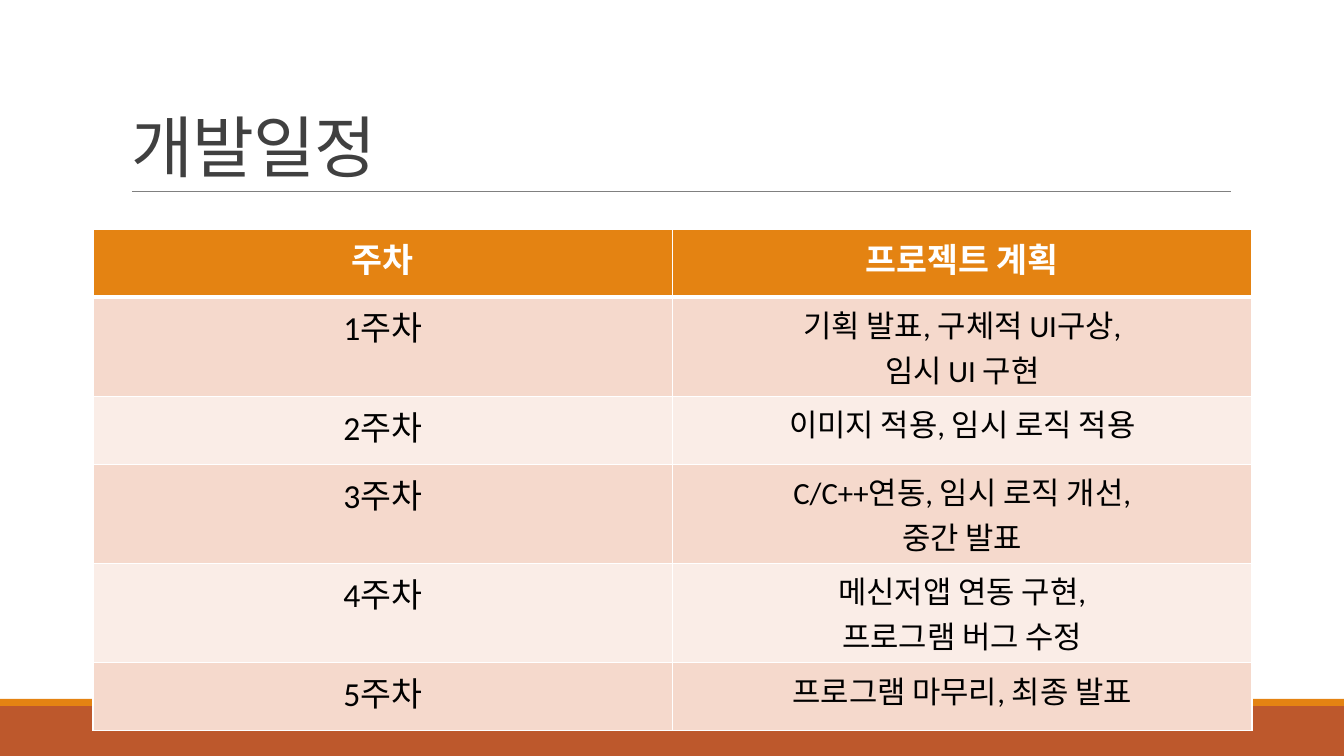
import pptx
import pptx.util
import pptx.dml.color
import pptx.enum.shapes
import pptx.enum.text
import pptx.oxml
import pptx.oxml.ns
from lxml import etree

FONT = "Calibri"
HEX = {
    "rust": "BD582C", "gold": "E48312", "rule": "808080", "title": "404040",
    "white": "FFFFFF", "black": "000000", "odd": "F5D9CC", "even": "FAEDE7",
}
PLAN = [
    ("주차", "프로젝트 계획"),
    ("1주차", "기획 발표, 구체적 UI구상,\n임시 UI 구현"),
    ("2주차", "이미지 적용, 임시 로직 적용"),
    ("3주차", "C/C++연동, 임시 로직 개선,\n중간 발표"),
    ("4주차", "메신저앱 연동 구현,\n프로그램 버그 수정"),
    ("5주차", "프로그램 마무리, 최종 발표"),
]


def px(n):
    return pptx.util.Emu(round(n * 12192000 / 1344))


def color(name):
    return pptx.dml.color.RGBColor.from_string(HEX[name])


def style(para, size, tint, align, bold=False):
    para.alignment = align
    font = para.font
    font.name, font.size, font.bold = FONT, pptx.util.Pt(size), bold
    font.color.rgb = color(tint)


def add_bar(slide, top, height, tint):
    kind = pptx.enum.shapes.MSO_SHAPE.RECTANGLE
    bar = slide.shapes.add_shape(kind, 0, px(top), px(1344), px(height))
    bar.shadow.inherit = False
    bar.fill.solid()
    bar.fill.fore_color.rgb = color(tint)
    bar.line.fill.background()


def add_rule(slide, left, right, y):
    kind = pptx.enum.shapes.MSO_CONNECTOR.STRAIGHT
    rule = slide.shapes.add_connector(kind, px(left), px(y), px(right), px(y))
    rule.line.color.rgb = color("rule")
    rule.line.width = pptx.util.Pt(0.5)
    etree.SubElement(rule._element.spPr, pptx.oxml.ns.qn("a:effectLst"))


def set_title(slide, text):
    title = slide.shapes.title
    title.left, title.top, title.width, title.height = map(px, (121, 31, 1109, 160))
    frame = title.text_frame
    frame.text = text
    frame.vertical_anchor = pptx.enum.text.MSO_ANCHOR.BOTTOM
    frame.auto_size = pptx.enum.text.MSO_AUTO_SIZE.NONE
    para = frame.paragraphs[0]
    para.line_spacing = 0.85
    style(para, 48, "title", pptx.enum.text.PP_ALIGN.LEFT)
    para.runs[0].font._element.set("spc", "-50")


def set_edges(cell, row):
    # The line under the header row is three times as thick
    thick = {"T": 3 if row == 1 else 1, "B": 3 if row == 0 else 1}
    for side in "LRTB":
        width = pptx.util.Pt(thick.get(side, 1))
        cell._tc.get_or_add_tcPr().append(pptx.oxml.parse_xml(
            f'<a:ln{side} {pptx.oxml.ns.nsdecls("a")} w="{width}"><a:solidFill>'
            f'<a:srgbClr val="{HEX["white"]}"/></a:solidFill></a:ln{side}>'))


def fill_cell(cell, row, col, text):
    set_edges(cell, row)
    head = row == 0
    cell.fill.solid()
    cell.fill.fore_color.rgb = color("gold" if head else "odd" if row % 2 else "even")
    cell.text = text
    for para in cell.text_frame.paragraphs:
        style(para, 24 if head or col == 0 else 22, "white" if head else "black",
              pptx.enum.text.PP_ALIGN.CENTER, head)


def add_plan(slide, left, top, width):
    highs = [81 if "\n" in text else 68 for _, text in PLAN]
    table = slide.shapes.add_table(
        len(PLAN), 2, px(left), px(top), px(width), px(sum(highs))).table
    for row, texts in enumerate(PLAN):
        table.rows[row].height = px(highs[row])
        for col, text in enumerate(texts):
            fill_cell(table.cell(row, col), row, col, text)


def main():
    deck = pptx.Presentation()
    deck.slide_width, deck.slide_height = px(1344), px(756)
    slide = deck.slides.add_slide(deck.slide_layouts[5])

    # Footer bars and heading
    add_bar(slide, 706, 50, "rust")
    add_bar(slide, 699, 7, "gold")
    add_rule(slide, 132, 1231, 191)
    set_title(slide, "개발일정")

    # Weekly schedule
    add_plan(slide, 93, 229, 1159)
    deck.save("out.pptx")


if __name__ == "__main__":
    main()
